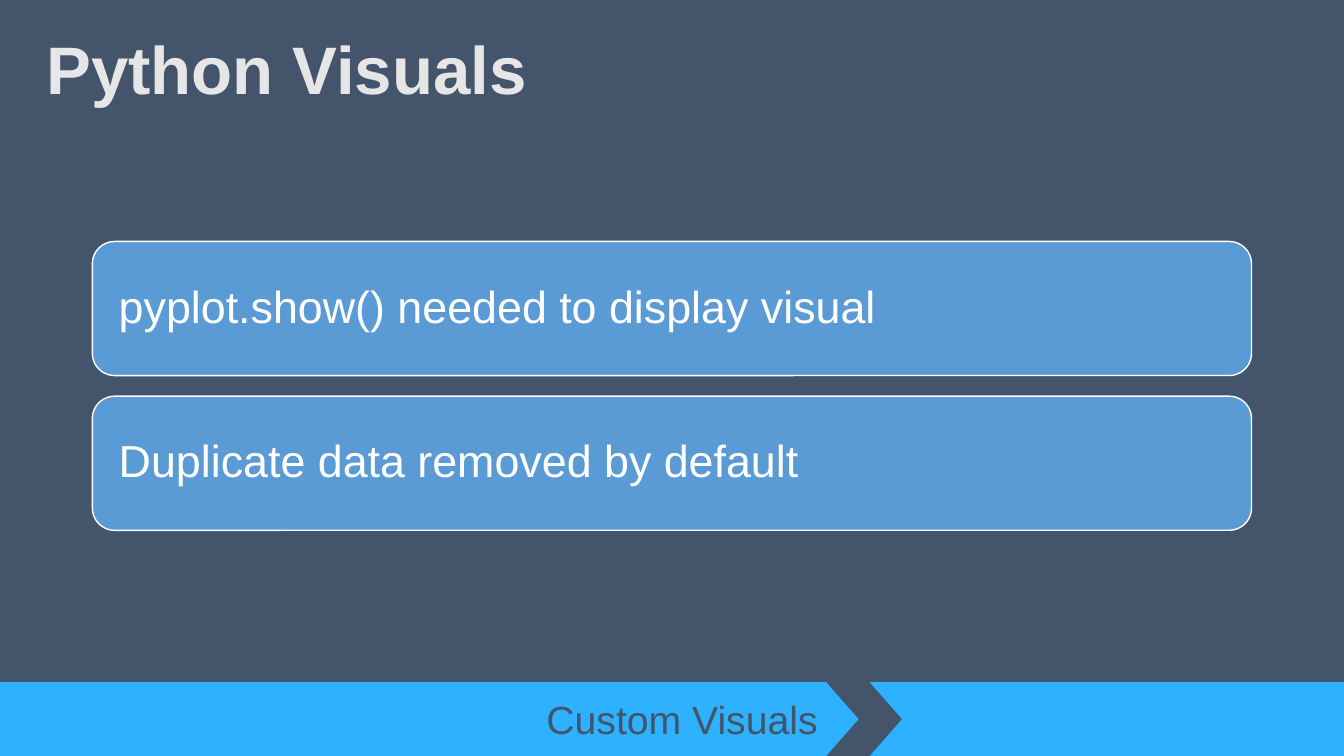
from pptx import Presentation
from pptx.dml.color import RGBColor
from pptx.enum.shapes import MSO_SHAPE
from pptx.enum.text import MSO_ANCHOR, MSO_AUTO_SIZE, PP_ALIGN
from pptx.util import Pt

COLORS = {
    "slate": "44546A",
    "sky": "2EB2FF",
    "card": "5B9BD5",
    "white": "FFFFFF",
    "title": "E7E6E6",
}


def add_box(page, kind, left, top, width, height, fill, line):
    box = page.shapes.add_shape(kind, Pt(left), Pt(top), Pt(width), Pt(height))
    box.shadow.inherit = False
    box.fill.solid()
    box.fill.fore_color.rgb = RGBColor.from_string(COLORS[fill])
    box.line.color.rgb = RGBColor.from_string(COLORS[line])
    box.line.width = Pt(1)
    return box


def write_text(box, text, size, color, alignment, bold=False):
    frame = box.text_frame
    frame.text = text
    frame.word_wrap = True
    frame.auto_size = MSO_AUTO_SIZE.NONE
    frame.vertical_anchor = MSO_ANCHOR.MIDDLE
    para = frame.paragraphs[0]
    para.alignment = alignment
    font = para.runs[0].font
    font.name = "Arial"
    font.size = Pt(size)
    font.bold = bold
    font.color.rgb = RGBColor.from_string(COLORS[color])
    return para


deck = Presentation()
deck.slide_width = Pt(960)
deck.slide_height = Pt(540)
page = deck.slides.add_slide(deck.slide_layouts[5])
page.background.fill.solid()
page.background.fill.fore_color.rgb = RGBColor.from_string(COLORS["slate"])

bar_height = 52.6
bar_top = 540 - bar_height
add_box(page, MSO_SHAPE.RECTANGLE, 0, bar_top, 960, bar_height, "sky", "sky")
chevron = add_box(page, MSO_SHAPE.CHEVRON, 591, bar_top, bar_height, bar_height, "slate", "slate")
chevron.adjustments[0] = 0.44

section = page.shapes.add_textbox(Pt(382.3), Pt(493.2), Pt(208.8), Pt(41))
write_text(section, "Custom Visuals", 28, "slate", PP_ALIGN.RIGHT)

title = page.shapes.title
title.left, title.top, title.width, title.height = Pt(26), Pt(0), Pt(828), Pt(104.4)
title_para = write_text(title, "Python Visuals", 48, "title", PP_ALIGN.LEFT, bold=True)
title_para.line_spacing = 0.9

points = ["pyplot.show() needed to display visual", "Duplicate data removed by default"]
card_top, card_height, card_gap = 172.5, 95.8, 14.7
for index, point in enumerate(points):
    top = card_top + index * (card_height + card_gap)
    card = add_box(page, MSO_SHAPE.ROUNDED_RECTANGLE, 66, top, 828, card_height, "card", "white")
    card_para = write_text(card, point, 32, "white", PP_ALIGN.LEFT)
    card_para.line_spacing = 0.9
    card.text_frame.margin_left = card.text_frame.margin_right = Pt(14.2)

deck.save("out.pptx")
